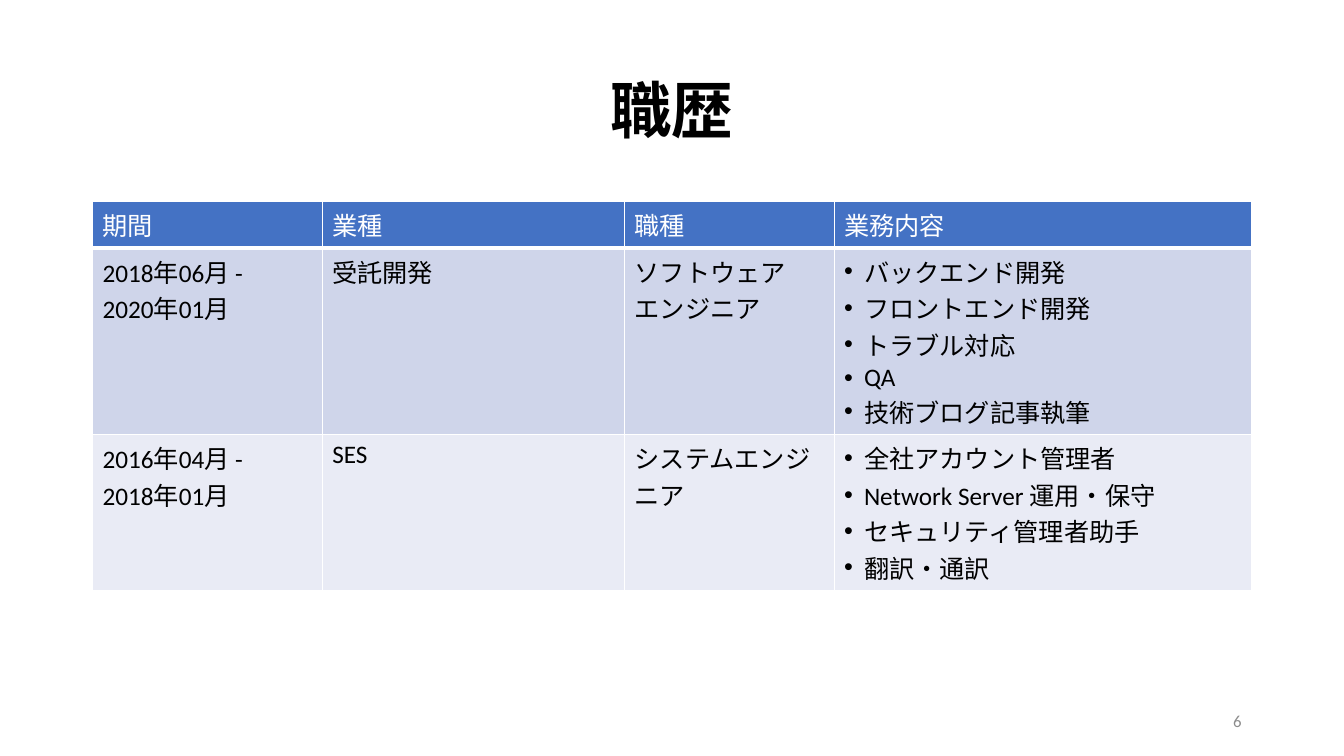
from lxml.etree import SubElement
from pptx import Presentation
from pptx.dml.color import RGBColor
from pptx.enum.text import MSO_ANCHOR as ANCHOR, PP_ALIGN as ALIGN
from pptx.oxml.ns import qn
from pptx.util import Cm, Pt

COLORS = {
    "text": "000000",
    "header": "4472C4",
    "band_dark": "CFD5EA",
    "band_light": "E9EBF5",
    "white": "FFFFFF",
    "number": "8C8C8C",
}
FONT = "Calibri"

COL_WIDTHS = [5.79, 7.62, 5.28, 10.52]
ROW_HEIGHTS = [1.14, 4.7, 3.9]
HEADERS = ["期間", "業種", "職種", "業務内容"]
JOBS = [
    [
        ["2018年06月 -", "2020年01月"],
        ["受託開発"],
        ["ソフトウェア", "エンジニア"],
        ["バックエンド開発", "フロントエンド開発", "トラブル対応", "QA", "技術ブログ記事執筆"],
    ],
    [
        ["2016年04月 -", "2018年01月"],
        ["SES"],
        ["システムエンジニア"],
        ["全社アカウント管理者", "Network Server 運用・保守", "セキュリティ管理者助手", "翻訳・通訳"],
    ],
]


def rgb(name):
    return RGBColor.from_string(COLORS[name])


def add_bullet(p):
    pPr = p._p.get_or_add_pPr()
    pPr.set("marL", str(Cm(0.5)))
    pPr.set("indent", str(-Cm(0.5)))
    SubElement(pPr, qn("a:buFont"), typeface="Arial")
    SubElement(pPr, qn("a:buChar"), char="•")


def write(tf, lines, size=18, color="text", bold=False, align=ALIGN.LEFT,
          spacing=None, bullets=False):
    """Fill a text frame with one paragraph per line."""
    for i, line in enumerate(lines):
        p = tf.paragraphs[0] if i == 0 else tf.add_paragraph()
        p.alignment = align
        if spacing:
            p.line_spacing = spacing
        if bullets:
            add_bullet(p)
        r = p.add_run()
        r.text = line
        r.font.name = FONT
        r.font.size = Pt(size)
        r.font.bold = bold
        r.font.color.rgb = rgb(color)


def set_borders(cell, bottom=1):
    tcPr = cell._tc.get_or_add_tcPr()
    for side, width in {"L": 1, "R": 1, "T": 1, "B": bottom}.items():
        ln = SubElement(tcPr, qn(f"a:ln{side}"), w=str(Pt(width)))
        fill = SubElement(ln, qn("a:solidFill"))
        SubElement(fill, qn("a:srgbClr"), val=COLORS["white"])


class CareerDeck:
    def __init__(self):
        self.prs = Presentation()
        self.prs.slide_width = Cm(33.87)
        self.prs.slide_height = Cm(19.05)
        self.slide = self.prs.slides.add_slide(self.prs.slide_layouts[5])

    def title(self, text):
        sp = self.slide.shapes.title
        sp.left, sp.top, sp.width, sp.height = Cm(2.33), Cm(1.01), Cm(29.21), Cm(3.68)
        sp.text_frame.vertical_anchor = ANCHOR.MIDDLE
        write(sp.text_frame, [text], size=44, bold=True, align=ALIGN.CENTER, spacing=0.9)

    def page_number(self, text):
        sp = self.slide.shapes.add_textbox(Cm(23.92), Cm(17.66), Cm(7.62), Cm(1.01))
        tf = sp.text_frame
        tf.word_wrap = True
        tf.vertical_anchor = ANCHOR.MIDDLE
        write(tf, [text], size=12, color="number", align=ALIGN.RIGHT)

    def cell(self, cell, lines, fill, bottom=1, **fmt):
        set_borders(cell, bottom)
        cell.fill.solid()
        cell.fill.fore_color.rgb = rgb(fill)
        write(cell.text_frame, lines, **fmt)

    def table(self, headers, jobs):
        table = self.slide.shapes.add_table(
            len(jobs) + 1, len(headers), Cm(2.33), Cm(5.07),
            Cm(sum(COL_WIDTHS)), Cm(sum(ROW_HEIGHTS))).table
        for col, width in zip(table.columns, COL_WIDTHS):
            col.width = Cm(width)
        for row, height in zip(table.rows, ROW_HEIGHTS):
            row.height = Cm(height)
        for c, header in enumerate(headers):
            self.cell(table.cell(0, c), [header], "header", bottom=3, color="white")
        for r, job in enumerate(jobs, 1):
            fill = "band_dark" if r % 2 else "band_light"
            for c, lines in enumerate(job):
                self.cell(table.cell(r, c), lines, fill, bullets=c == len(job) - 1)


def main():
    deck = CareerDeck()
    deck.title("職歴")
    deck.table(HEADERS, JOBS)
    deck.page_number("6")
    deck.prs.save("out.pptx")


if __name__ == "__main__":
    main()
